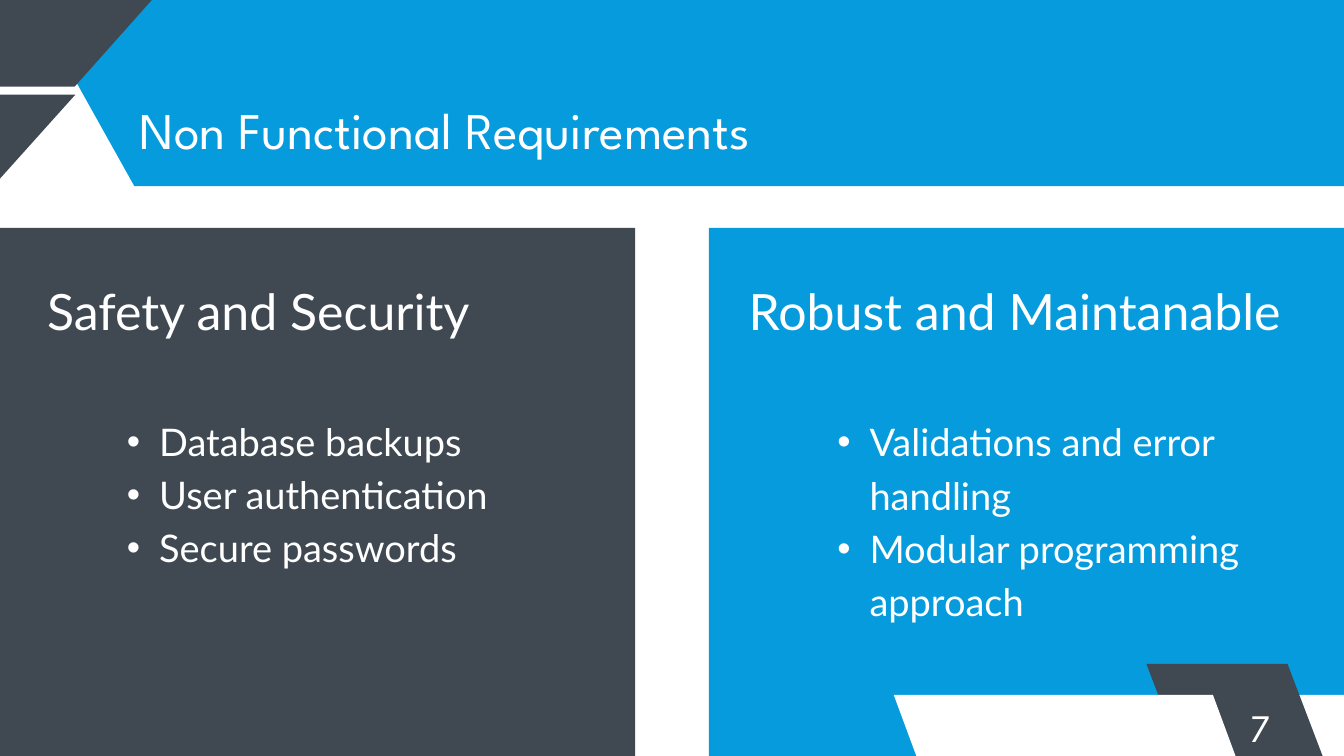
from lxml import etree
from pptx import Presentation
from pptx.dml.color import RGBColor
from pptx.enum.shapes import MSO_SHAPE
from pptx.enum.text import MSO_ANCHOR, MSO_AUTO_SIZE, PP_ALIGN
from pptx.oxml.ns import qn
from pptx.util import Inches, Pt

RECTANGLE = MSO_SHAPE.RECTANGLE
TOP = MSO_ANCHOR.TOP
NO_AUTOFIT = MSO_AUTO_SIZE.NONE
LEFT, CENTER = PP_ALIGN.LEFT, PP_ALIGN.CENTER

COLORS = {"slate": "404952", "blue": "059BDD", "white": "FFFFFF"}
SLIDE_WIDTH, SLIDE_HEIGHT = 20, 11.25
CARD_TOP, CARD_WIDTH = 3.39, 9.45

TITLE = "Non Functional Requirements"
PAGE_NUMBER = "7"
CARDS = [
    {
        "color": "slate",
        "left": 0,
        "heading": "Safety and Security",
        "heading_at": (0.7, 4.02, 9.06, 1.02),
        "items": ["Database backups", "User authentication", "Secure passwords"],
        "items_at": (1.41, 6.11, 6.62, 2.33),
    },
    {
        "color": "blue",
        "left": SLIDE_WIDTH - CARD_WIDTH,
        "heading": "Robust and Maintanable",
        "heading_at": (11.14, 4.02, 9.06, 1.02),
        "items": ["Validations and error handling", "Modular programming approach"],
        "items_at": (11.98, 6.12, 6.6, 3.1),
    },
]
# left, top, width, height, lean, color
BANDS = [
    (0.33, -0.22, 20.46, 2.99, 1.67, "blue"),
    (-0.42, 0, 2.68, 1.29, -1.15, "slate"),
    (-1.7, 1.41, 2.82, 1.36, -1.22, "slate"),
    (17.93, 10.34, 3.79, 1.71, 0.74, "white"),
    (17.06, 9.88, 2.1, 1.68, 0.64, "slate"),
    (13.3, 10.34, 4.75, 2.11, 0.78, "white"),
]


def rgb(name):
    return RGBColor.from_string(COLORS[name])


def paint(shape, color):
    shape.shadow.inherit = False
    shape.fill.solid()
    shape.fill.fore_color.rgb = rgb(color)
    shape.line.fill.background()


def add_band(page, left, top, width, height, lean, color):
    corners = [
        (left + width, top),
        (left + width + lean, top + height),
        (left + lean, top + height),
    ]
    builder = page.shapes.build_freeform(Inches(left), Inches(top))
    builder.add_line_segments([(Inches(x), Inches(y)) for x, y in corners], close=True)
    paint(builder.convert_to_shape(), color)


def add_bullet(para):
    para.level = 1
    properties = para._p.get_or_add_pPr()
    properties.set("marL", str(Inches(0.96)))
    properties.set("indent", str(Inches(-0.48)))
    etree.SubElement(properties, qn("a:buChar")).set("char", "•")


def write(page, box, at, lines, font, size, spacing, align=LEFT, bulleted=False):
    box.left, box.top, box.width, box.height = map(Inches, at)
    page.shapes.element.append(box.element)
    frame = box.text_frame
    frame.word_wrap = True
    frame.auto_size = NO_AUTOFIT
    frame.vertical_anchor = TOP
    frame.margin_left = frame.margin_top = frame.margin_right = frame.margin_bottom = 0
    for index, line in enumerate(lines):
        para = frame.add_paragraph() if index else frame.paragraphs[0]
        if bulleted:
            add_bullet(para)
        para.alignment = align
        para.line_spacing = Pt(spacing)
        para.space_before = para.space_after = Pt(0)
        span = para.add_run()
        span.text = line
        span.font.name = font
        span.font.size = Pt(size)
        span.font.bold = False
        span.font.color.rgb = rgb("white")


def main():
    deck = Presentation()
    deck.slide_width, deck.slide_height = Inches(SLIDE_WIDTH), Inches(SLIDE_HEIGHT)
    page = deck.slides.add_slide(deck.slide_layouts.get_by_name("Comparison"))
    title, *bodies = page.placeholders

    for card in CARDS:
        panel = page.shapes.add_shape(
            RECTANGLE, Inches(card["left"]), Inches(CARD_TOP),
            Inches(CARD_WIDTH), Inches(SLIDE_HEIGHT - CARD_TOP),
        )
        paint(panel, card["color"])
    for band in BANDS:
        add_band(page, *band)

    write(page, title, (2.08, 1.31, 12.45, 1.01), [TITLE], "League Spartan", 55, 77)
    for card, heading, items in zip(CARDS, bodies[::2], bodies[1::2]):
        write(page, heading, card["heading_at"], [card["heading"]], "Lato", 53.6, 75.1)
        write(page, items, card["items_at"], card["items"], "Lato", 40.7, 57, bulleted=True)
    number = page.shapes.add_textbox(0, 0, 0, 0)
    write(page, number, (18.23, 10.35, 1.05, 0.78), [PAGE_NUMBER],
          "League Spartan", 41.7, 58.3, CENTER)

    deck.save("out.pptx")


if __name__ == "__main__":
    main()
